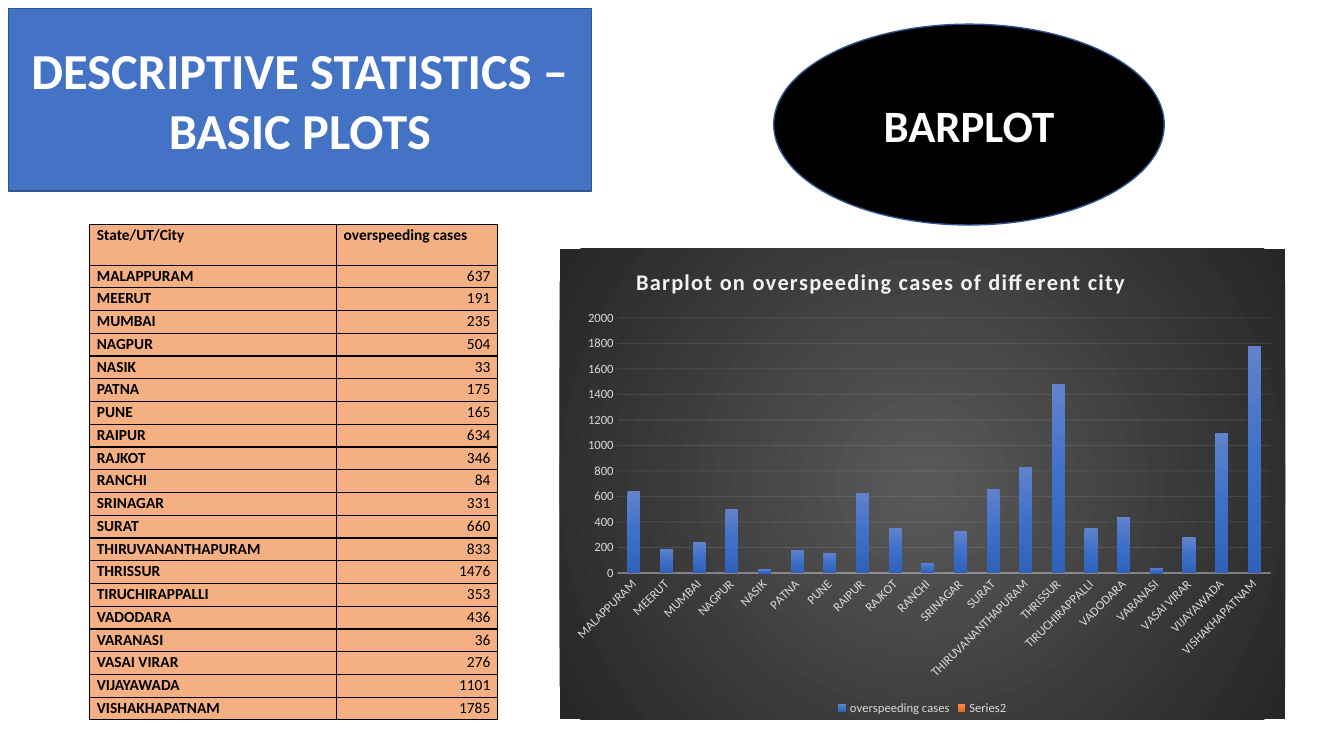
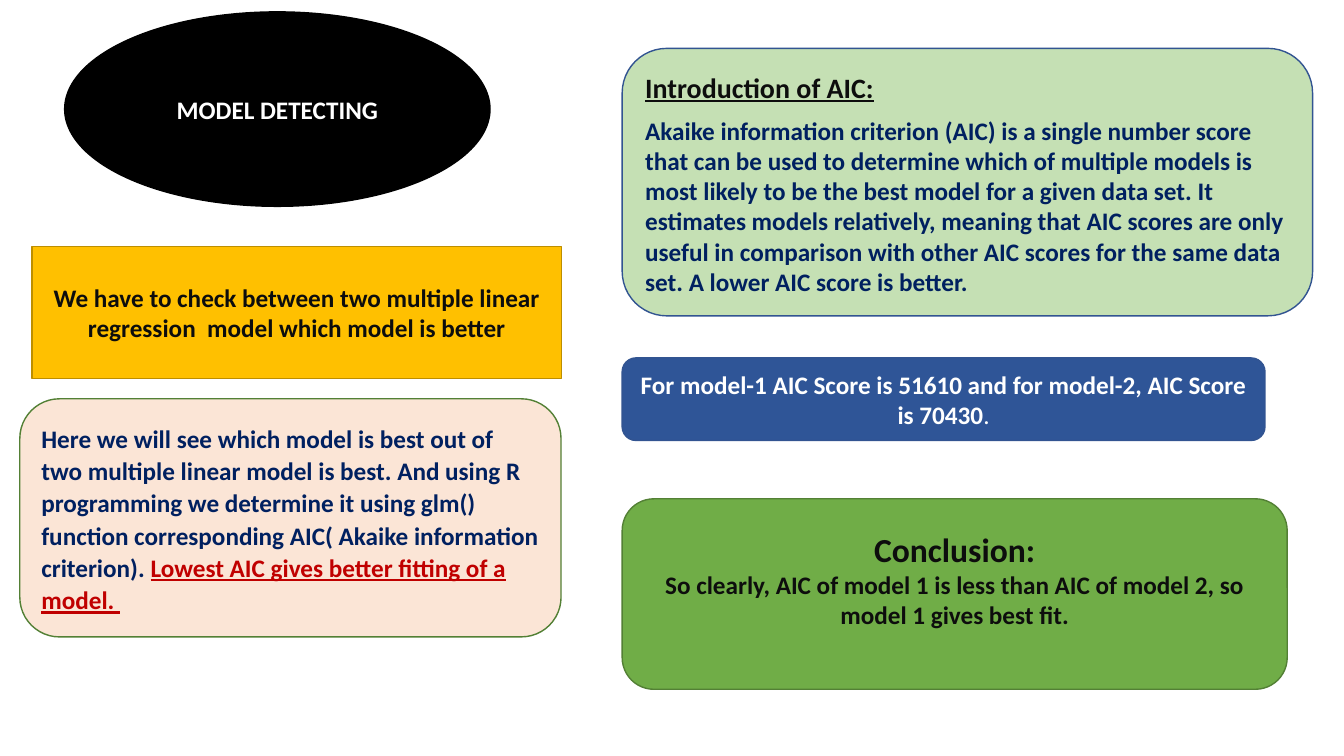
from dataclasses import dataclass

from lxml import etree
from pptx import Presentation, util as u
from pptx.chart.data import CategoryChartData
from pptx.dml.color import RGBColor
from pptx.enum import chart as charts, shapes, text
from pptx.oxml import parse_xml
from pptx.oxml.ns import nsdecls, qn

FONT = "Calibri"
COLORS = {
    "white": "FFFFFF", "black": "000000", "ink": "0D0D0D", "navy": "002060",
    "red": "C00000", "blue": "4472C4", "deep blue": "2F5597",
    "blue line": "325491", "gold": "FFC000", "gold line": "BD8E00",
    "green": "70AD47", "pale green": "C5E0B4", "green line": "538035",
    "peach": "FBE5D6", "orange": "F4B083", "label": "D9D9D9", "pale": "F2F2F2",
}
CHART_GLOW = {0: "595959", 100: "262626"}
BAR_SHADES = [
    {0: "6183CB", 50: "3E70CA", 100: "3062BB"},
    {0: "F18C57", 50: "F67B28", 100: "E56C19"},
]
CASES = {
    "MALAPPURAM": 637, "MEERUT": 191, "MUMBAI": 235, "NAGPUR": 504,
    "NASIK": 33, "PATNA": 175, "PUNE": 165, "RAIPUR": 634, "RAJKOT": 346,
    "RANCHI": 84, "SRINAGAR": 331, "SURAT": 660, "THIRUVANANTHAPURAM": 833,
    "THRISSUR": 1476, "TIRUCHIRAPPALLI": 353, "VADODARA": 436,
    "VARANASI": 36, "VASAI VIRAR": 276, "VIJAYAWADA": 1101,
    "VISHAKHAPATNAM": 1785,
}
CASES_LABEL = "overspeeding cases"
RECT = shapes.MSO_SHAPE.RECTANGLE
OVAL = shapes.MSO_SHAPE.OVAL
ROUNDED = shapes.MSO_SHAPE.ROUNDED_RECTANGLE
LEFT, CENTER, RIGHT = text.PP_ALIGN.LEFT, text.PP_ALIGN.CENTER, text.PP_ALIGN.RIGHT


@dataclass
class Span:
    """A stretch of text; None keeps the look of its paragraph."""
    words: str
    color: str | None = None
    bold: bool | None = None
    underline: bool | None = None


@dataclass
class Para:
    spans: list[Span]
    color: str
    size: int = 18
    align: text.PP_ALIGN = CENTER
    underline: bool | None = None
    loose: bool = False


@dataclass
class Box:
    kind: shapes.MSO_SHAPE
    at: tuple[float, float, float, float]
    fill: str
    line: str
    paras: list[Para]
    bottom_inset: float = 0.13


BARPLOT_BOXES = [
    Box(RECT, (0.21, 0.21, 14.7, 4.6), "blue", "blue line",
        [Para([Span("DESCRIPTIVE STATISTICS –BASIC PLOTS")], "white", 36)]),
    Box(OVAL, (19.5, 0.61, 9.84, 5.06), "black", "blue line",
        [Para([Span("BARPLOT")], "white", 32)]),
]
MODEL_BOXES = [
    Box(OVAL, (1.63, 0.3, 10.72, 4.9), "black", "black",
        [Para([Span("MODEL DETECTING")], "white")]),
    Box(RECT, (0.81, 6.21, 13.34, 3.33), "gold", "gold line",
        [Para([Span("We have to check between two multiple linear regression  "
                    "model which model is better")], "ink")]),
    Box(ROUNDED, (0.5, 10.05, 13.64, 6.0), "peach", "green line",
        [Para([Span("Here we will see which model is best out of two multiple "
                    "linear model is best. And using R programming we determine "
                    "it using glm() function corresponding AIC( Akaike "
                    "information criterion). "),
               Span("Lowest AIC gives better fitting of a model. ", "red",
                    underline=True)], "navy", align=LEFT, loose=True)]),
    Box(ROUNDED, (15.68, 1.22, 17.4, 6.74), "pale green", "blue line",
        [Para([Span("Introduction of AIC:")], "ink", 20, LEFT, True, True),
         Para([Span("Akaike information criterion (AIC) is a single number score "
                    "that can be used to determine which of multiple models is "
                    "most likely to be the best model for a given data set. It "
                    "estimates models relatively, meaning that AIC scores are "
                    "only useful in comparison with other AIC scores for the "
                    "same data set. A lower AIC score is better.")],
              "navy", align=LEFT)]),
    Box(ROUNDED, (15.68, 9.02, 16.2, 2.08), "deep blue", "blue line",
        [Para([Span("For model-1 AIC Score is 51610 and for model-2, "
                    "AIC Score is 70430"), Span(".", bold=False)], "white")]),
    Box(ROUNDED, (15.68, 12.57, 16.76, 4.8), "green", "green line",
        [Para([Span("Conclusion:")], "ink", 24),
         Para([Span("So clearly, AIC of model 1 is less than AIC of model 2, "
                    "so model 1 gives best fit.")], "ink")], 0.88),
]


def rgb(name: str) -> RGBColor:
    return RGBColor.from_string(COLORS[name])


def style_font(font, size: int, color: str, bold: bool = False) -> None:
    font.name, font.size, font.bold = FONT, u.Pt(size), bold
    font.color.rgb = rgb(color)


def add_para(para, content: Para) -> None:
    para.alignment = content.align
    if content.loose:
        para.line_spacing, para.space_after = 1.07, u.Pt(8)
    style_font(para.font, content.size, content.color, True)
    para.font.underline = content.underline
    for part in content.spans:
        span = para.add_run()
        span.text = part.words
        span.font.bold, span.font.underline = part.bold, part.underline
        if part.color:
            span.font.color.rgb = rgb(part.color)


def add_box(page, box: Box) -> None:
    shape = page.shapes.add_shape(box.kind, *map(u.Cm, box.at))
    shape.shadow.inherit = False
    shape.fill.solid()
    shape.fill.fore_color.rgb = rgb(box.fill)
    shape.line.color.rgb = rgb(box.line)
    shape.line.width = u.Pt(1)
    frame = shape.text_frame
    frame.word_wrap = True
    frame.vertical_anchor = text.MSO_ANCHOR.MIDDLE
    frame.margin_bottom = u.Cm(box.bottom_inset)
    for index, content in enumerate(box.paras):
        add_para(frame.add_paragraph() if index else frame.paragraphs[0], content)


def fill_cell(cell, words: str, bold: bool, align: text.PP_ALIGN) -> None:
    properties = cell._tc.get_or_add_tcPr()
    for side in "LRTB":
        properties.append(parse_xml(
            f'<a:ln{side} {nsdecls("a")} w="12700"><a:solidFill>'
            f'<a:srgbClr val="{COLORS["black"]}"/></a:solidFill></a:ln{side}>'))
    cell.fill.solid()
    cell.fill.fore_color.rgb = rgb("orange")
    cell.margin_left = cell.margin_right = u.Cm(0.18)
    cell.margin_top = cell.margin_bottom = 0
    para = cell.text_frame.paragraphs[0]
    para.text, para.alignment, para.line_spacing = words, align, 1.07
    style_font(para.font, 11, "black", bold)


def add_cases_table(page) -> None:
    widths, height, header_height = (6.22, 4.06), 12.48, 1.02
    row_height = (height - header_height) / len(CASES)
    table = page.shapes.add_table(
        len(CASES) + 1, 2, u.Cm(2.26), u.Cm(5.66), u.Cm(sum(widths)),
        u.Cm(height)).table
    for column, width in zip(table.columns, widths):
        column.width = u.Cm(width)
    rows = [("State/UT/City", CASES_LABEL), *CASES.items()]
    for index, (city, count) in enumerate(rows):
        header = index == 0
        table.rows[index].height = u.Cm(header_height if header else row_height)
        fill_cell(table.cell(index, 0), city, True, LEFT)
        fill_cell(table.cell(index, 1), str(count), header, LEFT if header else RIGHT)


def gradient(stops: dict[int, str], direction: str):
    marks = "".join(f'<a:gs pos="{place * 1000}"><a:srgbClr val="{color}"/></a:gs>'
                    for place, color in stops.items())
    return parse_xml(f'<a:gradFill {nsdecls("a")} rotWithShape="1">'
                     f'<a:gsLst>{marks}</a:gsLst>{direction}</a:gradFill>')


def chart_layout(**places: float | str):
    """Build a manual layout from the given child values, in schema order."""
    values = "".join(f'<c:{name} val="{value}"/>' for name, value in places.items())
    return parse_xml(f'<c:layout {nsdecls("c")}>'
                     f'<c:manualLayout>{values}</c:manualLayout></c:layout>')


def drop_layout(element) -> None:
    for old in element.findall(qn("c:layout")):
        element.remove(old)


def draw_line(line, width: float, opacity: int) -> None:
    line.color.rgb = rgb("pale")
    line.width = u.Pt(width)
    for color in line._get_or_add_ln().xpath(".//a:srgbClr"):
        etree.SubElement(color, qn("a:alpha")).set("val", str(opacity * 1000))


def style_axes(chart) -> None:
    for axis in (chart.category_axis, chart.value_axis):
        axis.major_tick_mark = axis.minor_tick_mark = charts.XL_TICK_MARK.NONE
        style_font(axis.tick_labels.font, 9, "label")
    draw_line(chart.category_axis.format.line, 1, 54)
    turned = chart.category_axis._element.find(qn("c:txPr")).find(qn("a:bodyPr"))
    turned.set("rot", "-2700000")
    turned.set("vert", "horz")
    values = chart.value_axis
    values.minimum_scale, values.maximum_scale, values.major_unit = 0, 2000, 200
    values.format.line.fill.background()
    values.has_major_gridlines = True
    draw_line(values.major_gridlines.format.line, 0.75, 10)


def add_chart_title(chart) -> None:
    chart.has_title = True
    span = chart.chart_title.text_frame.paragraphs[0].add_run()
    span.text = "Barplot on overspeeding cases of different city"
    style_font(span.font, 16, "pale", True)
    span._r.get_or_add_rPr().set("spc", "100")
    title = chart.chart_title._element
    drop_layout(title)
    title.find(qn("c:tx")).addnext(
        chart_layout(xMode="edge", yMode="edge", x=0.1, y=0.03))


def add_cases_chart(page) -> None:
    data = CategoryChartData(number_format="General")
    data.categories = list(CASES)
    data.add_series(CASES_LABEL, [round(count, -1) for count in CASES.values()])
    data.add_series("Series2", [None] * len(CASES))
    chart = page.shapes.add_chart(
        charts.XL_CHART_TYPE.COLUMN_STACKED, u.Cm(14.1), u.Cm(6.27),
        u.Cm(18.29), u.Cm(11.86), data).chart
    style_font(chart.font, 10, "black")
    add_chart_title(chart)
    style_axes(chart)

    plot = chart.plots[0]
    plot.gap_width, plot.overlap, plot.vary_by_categories = 150, 100, False
    for series, shades in zip(plot.series, BAR_SHADES):
        series._element.get_or_add_spPr().append(
            gradient(shades, '<a:lin ang="5400000" scaled="0"/>'))

    chart.has_legend = True
    chart.legend.position = charts.XL_LEGEND_POSITION.BOTTOM
    chart.legend.include_in_layout = False
    style_font(chart.legend.font, 9, "label")

    body = chart.element.find(qn("c:chart"))
    area = body.find(qn("c:plotArea"))
    drop_layout(area)
    area.insert(0, chart_layout(layoutTarget="inner", xMode="edge", yMode="edge",
                                x=0.08, y=0.147, w=0.9, h=0.542))
    backdrop = parse_xml(f'<c:spPr {nsdecls("c", "a")}/>')
    backdrop.append(gradient(
        CHART_GLOW, '<a:path path="circle">'
        '<a:fillToRect l="50000" t="50000" r="50000" b="50000"/></a:path>'))
    etree.SubElement(etree.SubElement(backdrop, qn("a:ln")), qn("a:noFill"))
    body.addnext(backdrop)


def main() -> None:
    deck = Presentation()
    deck.slide_width, deck.slide_height = u.Cm(33.87), u.Cm(19.05)
    blank = deck.slide_layouts[6]
    barplot_page, model_page = (deck.slides.add_slide(blank) for _ in range(2))
    add_cases_table(barplot_page)
    add_cases_chart(barplot_page)
    for page, boxes in ((barplot_page, BARPLOT_BOXES), (model_page, MODEL_BOXES)):
        for box in boxes:
            add_box(page, box)
    deck.save("out.pptx")


if __name__ == "__main__":
    main()
